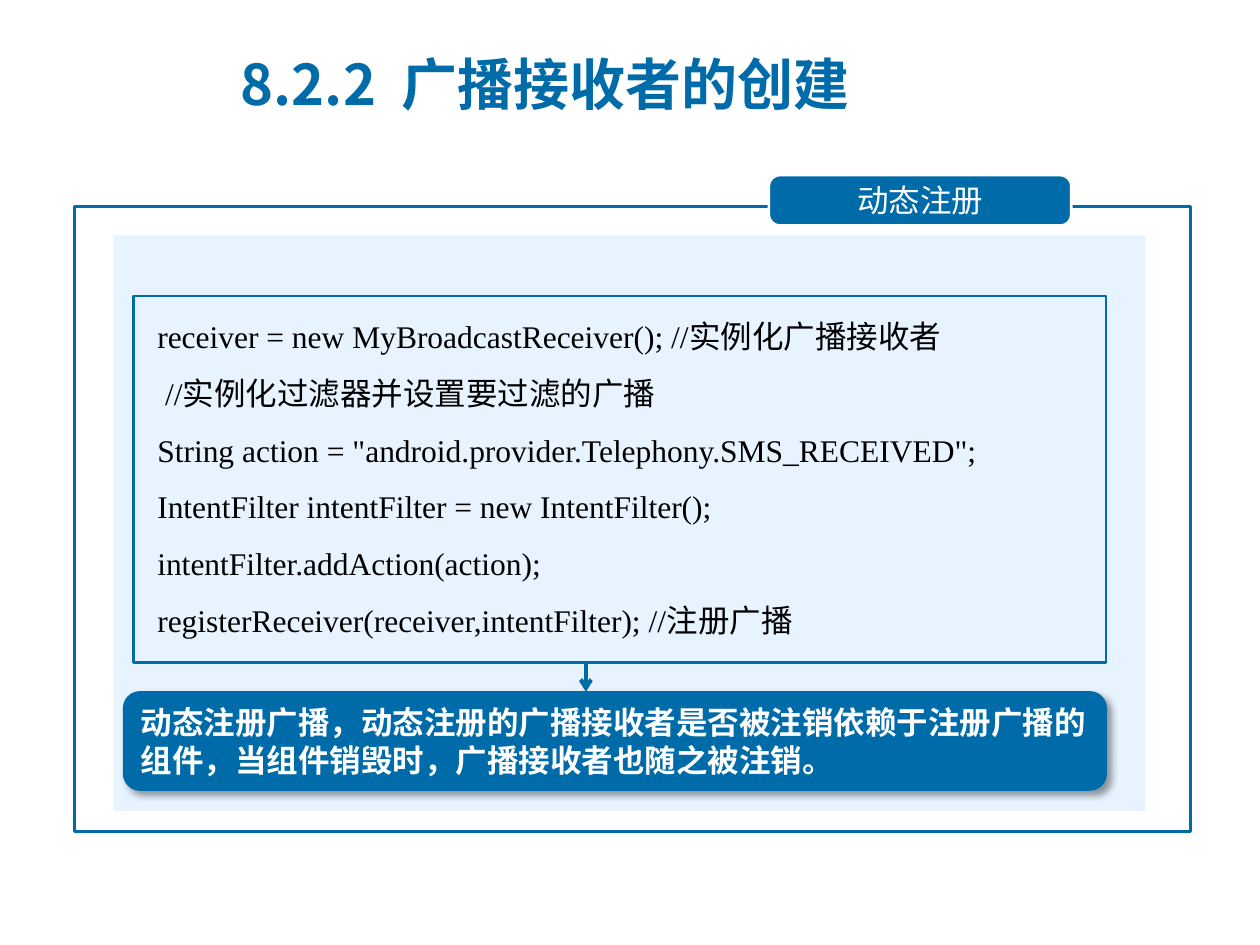
from lxml.etree import SubElement
from pptx import Presentation
from pptx.dml.color import RGBColor
from pptx.enum.shapes import MSO_CONNECTOR, MSO_SHAPE
from pptx.enum.text import MSO_ANCHOR, PP_ALIGN
from pptx.oxml import parse_xml
from pptx.oxml.ns import nsdecls, qn
from pptx.util import Pt

# Content
TITLE = "8.2.2  广播接收者的创建"
TAB = "动态注册"
CODE = [  # text, left indent
    ("receiver = new MyBroadcastReceiver(); //实例化广播接收者", 18),
    ("//实例化过滤器并设置要过滤的广播", 22.5),
    ('String action = "android.provider.Telephony.SMS_RECEIVED";', 18),
    ("IntentFilter intentFilter = new IntentFilter();", 18),
    ("intentFilter.addAction(action);", 18),
    ("registerReceiver(receiver,intentFilter); //注册广播", 18),
]
NOTE = ("动态注册广播，动态注册的广播接收者是否被注销依赖于注册广播的组件，"
        "当组件销毁时，广播接收者也随之被注销。")

COLORS = {"blue": "006BA9", "pale": "E7F4FF", "white": "FFFFFF", "black": "000000"}
CJK_FONT = "Noto Sans CJK SC"

# Places: left, top, width, height
TITLE_AREA = (130.3, 17.3, 405.4, 60.5)
PANEL = (64.8, 134.6, 589.7, 329)
FRAME = (42.5, 118.1, 637.9, 357.1)
TAB_AREA = (439.4, 100.1, 172.8, 28.8)
CODE_FRAME = (76.3, 169.2, 555.8, 209.5)
NOTE_AREA = (70.6, 395.3, 561.6, 56.2)
ARROW_X = 334.8


def color(name):
    return RGBColor.from_string(COLORS[name])


def add_box(area, kind=MSO_SHAPE.RECTANGLE, fill=None, line=None, weight=1.5):
    box = page.shapes.add_shape(kind, *map(Pt, area))
    box.shadow.inherit = False
    if fill:
        box.fill.solid()
        box.fill.fore_color.rgb = color(fill)
    else:
        box.fill.background()
    if line:
        box.line.color.rgb = color(line)
        box.line.width = Pt(weight)
    else:
        box.line.fill.background()
    return box


def write(box, lines, font=CJK_FONT, size=18, ink="white", bold=False,
          align=PP_ALIGN.LEFT, anchor=MSO_ANCHOR.MIDDLE, spacing=None,
          inset=(7.2, 3.6, 7.2, 3.6)):
    frame = box.text_frame
    frame.word_wrap = True
    frame.vertical_anchor = anchor
    (frame.margin_left, frame.margin_top,
     frame.margin_right, frame.margin_bottom) = map(Pt, inset)
    for index, (text, indent) in enumerate(lines):
        para = frame.add_paragraph() if index else frame.paragraphs[0]
        para.alignment = align
        if spacing:
            para.line_spacing = spacing
        if indent:
            para._p.get_or_add_pPr().set("marL", str(Pt(indent)))
        span = para.add_run()
        span.text = text
        span.font.name = font
        span.font.size = Pt(size)
        span.font.bold = bold
        span.font.color.rgb = color(ink)
        SubElement(span._r.get_or_add_rPr(), qn("a:ea"), typeface=CJK_FONT)


deck = Presentation()
deck.slide_width, deck.slide_height = Pt(720), Pt(540)
page = deck.slides.add_slide(deck.slide_layouts[5])

# Title
title = page.shapes.title
title.left, title.top, title.width, title.height = map(Pt, TITLE_AREA)
write(title, [(TITLE, 0)], size=32, ink="blue", bold=True)

# Panel with the code, starting one line below its top
panel = add_box(PANEL, fill="pale")
write(panel, CODE, font="Times New Roman", ink="black", spacing=1.5,
      anchor=MSO_ANCHOR.TOP, inset=(7.2, 36, 7.2, 3.6))

# Outer frame, its tab and the code frame
add_box(FRAME, line="blue")
tab = add_box(TAB_AREA, MSO_SHAPE.ROUNDED_RECTANGLE, fill="blue", line="white")
tab.adjustments[0] = 0.22
write(tab, [(TAB, 0)], align=PP_ALIGN.CENTER, inset=(17.3, 4.3, 17.3, 4.3))
add_box(CODE_FRAME, line="blue")

# Arrow from the code to the note
arrow = page.shapes.add_connector(
    MSO_CONNECTOR.STRAIGHT, Pt(ARROW_X), Pt(CODE_FRAME[1] + CODE_FRAME[3]),
    Pt(ARROW_X), Pt(NOTE_AREA[1]))
arrow.line.color.rgb = color("blue")
arrow.line.width = Pt(2.25)
SubElement(arrow.line._get_or_add_ln(), qn("a:tailEnd"), type="arrow")
SubElement(arrow._element.spPr, qn("a:effectLst"))

# Note with a soft shadow
note = add_box(NOTE_AREA, MSO_SHAPE.ROUNDED_RECTANGLE, fill="blue", line="blue", weight=0.75)
write(note, [(NOTE, 0)], font="Calibri", bold=True)
effects = note._element.spPr.find(qn("a:effectLst"))
effects.append(parse_xml(
    f'<a:outerShdw {nsdecls("a")} blurRad="{Pt(4)}" dist="{Pt(3)}" dir="2700000" '
    f'algn="tl" rotWithShape="0"><a:srgbClr val="{COLORS["black"]}">'
    '<a:alpha val="40000"/></a:srgbClr></a:outerShdw>'))

deck.save("out.pptx")
